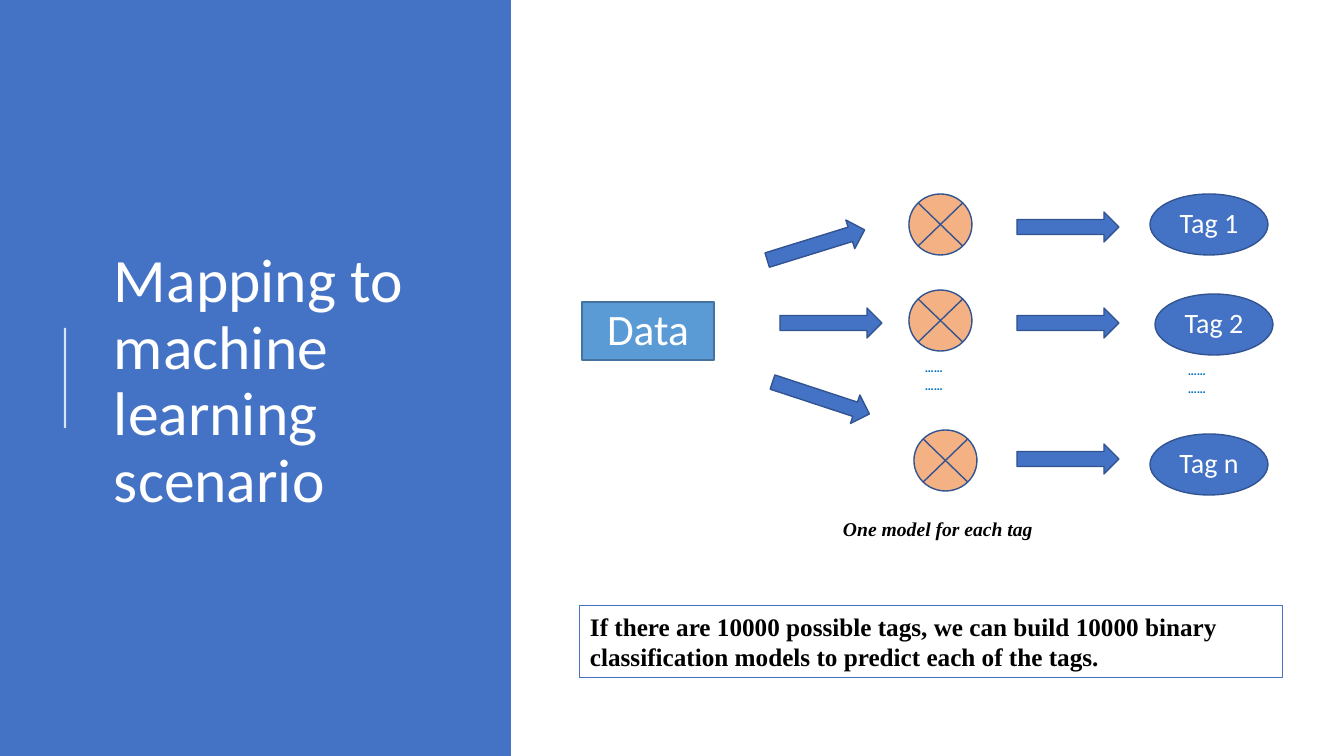
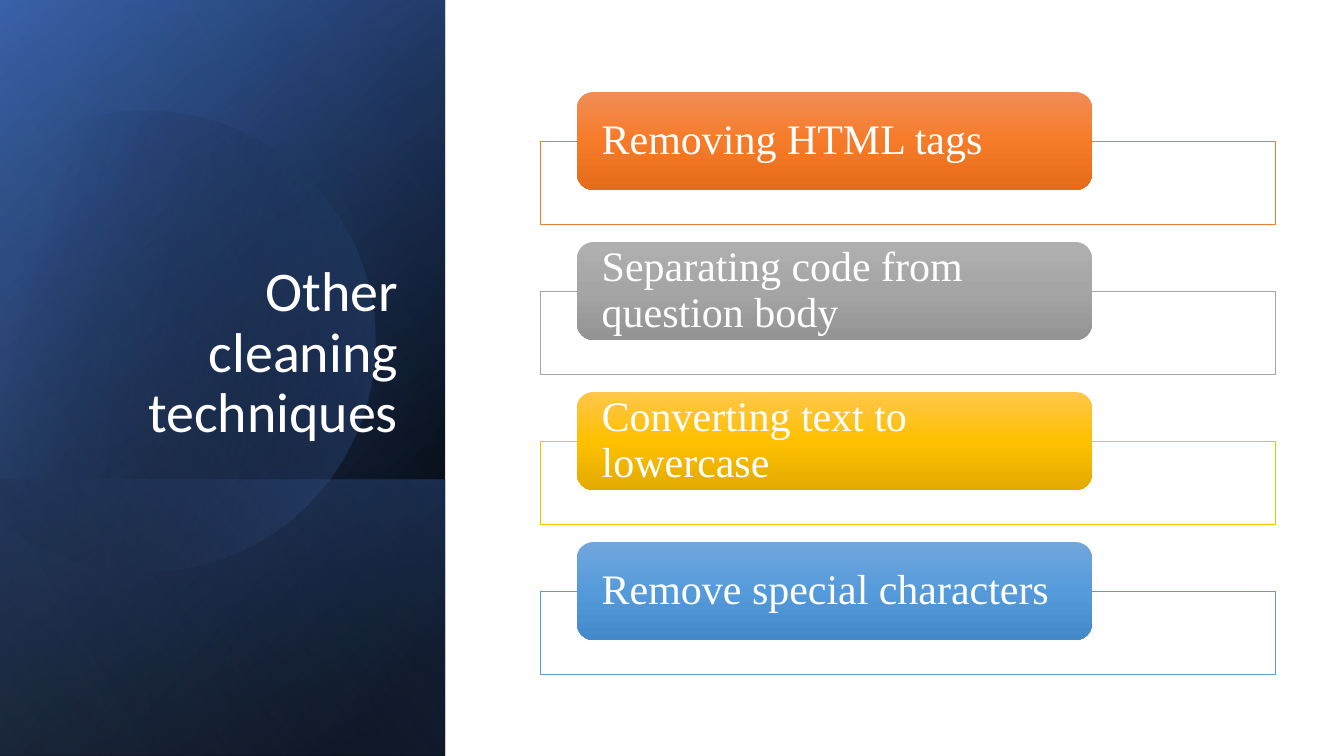
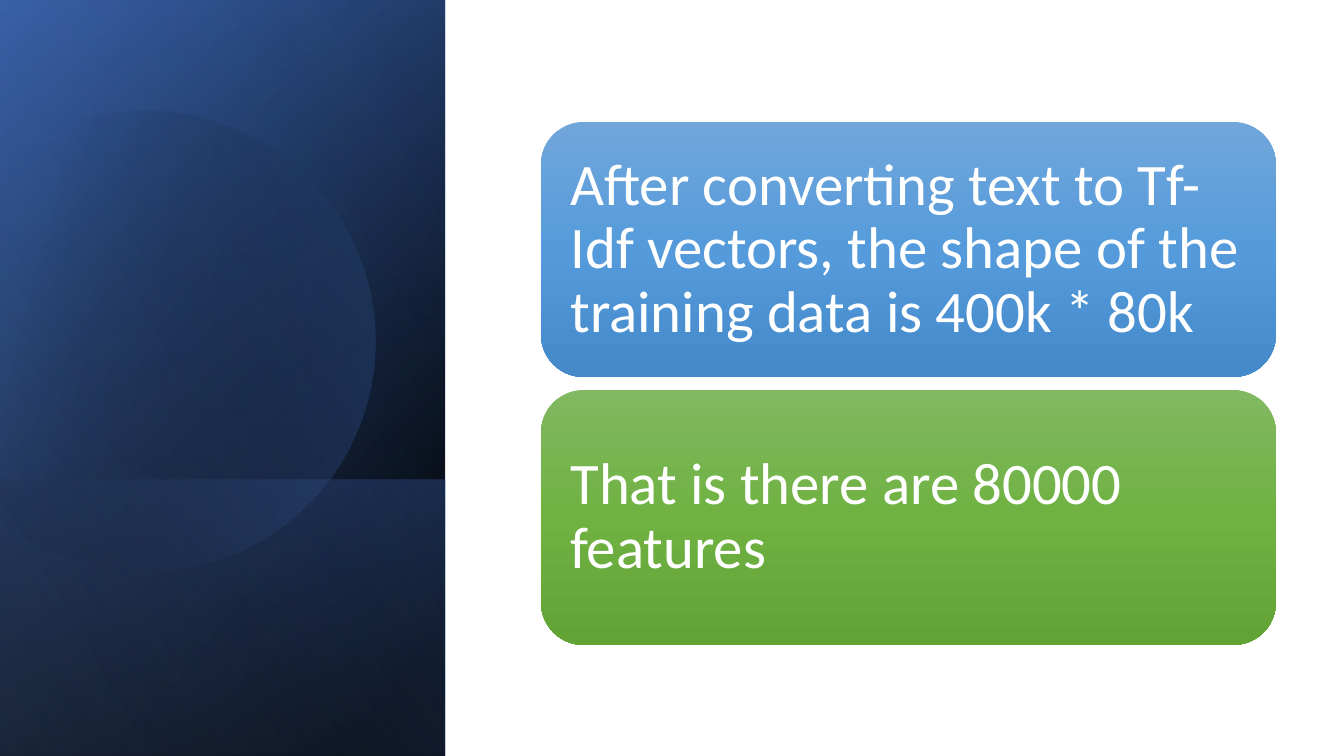
from lxml import etree
from pptx import Presentation
from pptx.dml.color import RGBColor
from pptx.enum.shapes import MSO_CONNECTOR, MSO_SHAPE as Kind
from pptx.enum.text import MSO_ANCHOR as Anchor, PP_ALIGN as Align
from pptx.oxml.ns import qn
from pptx.util import Pt

SCALE = 914400 / 100.8
WIDE, HIGH = 1344, 756
SANS, SERIF = "Calibri", "Times New Roman"
HUES = {
    "white": "FFFFFF", "black": "000000", "blue": "4472C4", "navy": "2F5597",
    "pale": "8FAADC", "edge": "325491", "sky": "5B9BD5", "rim": "43739E",
    "peach": "F4B183", "dots": "0070C0", "orange": "ED7D31",
    "grey": "A5A5A5", "gold": "FFC000",
}
SKY = [(0, "71A6DB", 100), (50, "559BDB", 100), (100, "448ACA", 100)]
GREEN = [(0, "81B861", 100), (50, "6FB242", 100), (100, "62A336", 100)]


def draw(page, kind, box, fill=None, edge=None, width=1, turn=0):
    shape = page.shapes.add_shape(kind, *[round(n * SCALE) for n in box])
    shape.shadow.inherit = False
    shape.rotation = turn
    for part, hue in ((shape.fill, fill), (shape.line.fill, edge)):
        if hue:
            part.solid()
            part.fore_color.rgb = RGBColor.from_string(HUES[hue])
        else:
            part.background()
    if edge:
        shape.line.width = Pt(width)
    return shape


def write(shape, lines, size, font=SANS, hue="white", align=Align.LEFT,
          anchor=Anchor.MIDDLE, pad=(10, 5), bold=False, slant=False,
          lead=0.9, after=0):
    frame = shape.text_frame
    frame.word_wrap = True
    frame.vertical_anchor = anchor
    frame.margin_left = frame.margin_right = round(pad[0] * SCALE)
    frame.margin_top = frame.margin_bottom = round(pad[1] * SCALE)
    for i, line in enumerate(lines):
        para = frame.add_paragraph() if i else frame.paragraphs[0]
        para.alignment = align
        para.line_spacing = lead
        para.space_after = Pt(after)
        run = para.add_run()
        run.text = line
        run.font.name = font
        run.font.size = Pt(size)
        run.font.bold = bold
        run.font.italic = slant
        run.font.color.rgb = RGBColor.from_string(HUES[hue])


deck = Presentation()
deck.slide_width = round(WIDE * SCALE)
deck.slide_height = round(HIGH * SCALE)
model, clean, size = [deck.slides.add_slide(deck.slide_layouts[6]) for _ in range(3)]
fades = []

draw(model, Kind.RECTANGLE, (0, 0, 511, HIGH), "blue")
title = model.shapes.add_textbox(*[round(n * SCALE) for n in (104, 79, 372, 607)])
write(title, ["Mapping to machine learning scenario"], 44)
rule = model.shapes.add_connector(
    MSO_CONNECTOR.STRAIGHT, *[round(n * SCALE) for n in (65, 428, 65, 328)])
rule.line.width = Pt(1.5)
rule.line.color.rgb = RGBColor.from_string(HUES["white"])
tint = rule._element.spPr.find(".//" + qn("a:srgbClr"))
etree.SubElement(tint, qn("a:alpha"), val="80000")
etree.SubElement(rule._element.spPr, qn("a:effectLst"))

data = draw(model, Kind.RECTANGLE, (582, 302, 132, 58), "sky", "rim")
write(data, ["Data"], 31, align=Align.CENTER)
for name, x, y in (("Tag 1", 1150, 194), ("Tag 2", 1155, 294), ("Tag n", 1150, 434)):
    tag = draw(model, Kind.OVAL, (x, y, 118, 61), "blue", "edge")
    write(tag, [name], 20, align=Align.CENTER, pad=(0, 0))
for x, y in ((909, 194), (909, 290), (914, 430)):
    draw(model, Kind.FLOWCHART_SUMMING_JUNCTION, (x, y, 63, 61), "peach", "edge")
for x, y, turn in ((765, 230, 342.8), (770, 383, 18.2), (780, 308, 0),
                   (1017, 212, 0), (1017, 308, 0), (1017, 444, 0)):
    draw(model, Kind.RIGHT_ARROW, (x, y, 102, 30), "blue", "edge", turn=turn)
for x, y in ((925, 362), (1188, 365)):
    dots = model.shapes.add_textbox(*[round(n * SCALE) for n in (x, y, 60, 36)])
    write(dots, ["……", "……"], 9, hue="dots", anchor=Anchor.TOP, pad=(0, 0),
          bold=True, after=2.5)
note = model.shapes.add_textbox(*[round(n * SCALE) for n in (833, 515, 270, 46)])
write(note, ["One model for each tag"], 14, SERIF, "black", anchor=Anchor.TOP,
      bold=True, slant=True)
claim = draw(model, Kind.RECTANGLE, (580, 606, 703, 72), edge="blue", width=0.75)
write(claim, ["If there are 10000 possible tags, we can build 10000 binary "
              "classification models to predict each of the tags."],
      18, SERIF, "black", anchor=Anchor.TOP, bold=True, lead=1)

BAND = 445
LAYERS = [
    (0, [(8, "black", 100), (100, "navy", 100)], 50),
    (0, [(0, "black", 0), (99, "blue", 46)], 30),
    (480, [(2, "blue", 29), (100, "black", 30)], 130),
    (None, [(29, "black", 0), (100, "blue", 43)], 30),
    (0, [(0, "black", 0), (99, "pale", 11)], 120),
]
for page in (clean, size):
    for top, stops, angle in LAYERS:
        if top is None:
            disc = page.shapes.build_freeform(36, 134, scale=SCALE)
            disc.add_line_segments([(145, 107), (375, 337), (145, 567), (-55, 452)])
            layer = disc.convert_to_shape()
            layer.shadow.inherit = False
            layer.line.fill.background()
            layer.rotation = 343.9
            sides = list(layer._element.spPr.iter(qn("a:lnTo")))
            arc = etree.Element(qn("a:arcTo"), wR="230", hR="230",
                                stAng=str(2418 * 6000), swAng=str(2683 * 6000))
            sides[0].addprevious(arc)
            for side in sides[:3]:
                side.getparent().remove(side)
        else:
            span = HIGH - top
            box = ((BAND - span) / 2, top + (span - BAND) / 2, span, BAND)
            layer = draw(page, Kind.RECTANGLE, box, turn=90)
            layer._element.spPr.find(qn("a:xfrm")).set("flipH", "1")
        fades.append((layer, stops, angle))

title = clean.shapes.add_textbox(*[round(n * SCALE) for n in (64, 186, 344, 264)])
write(title, ["Other cleaning techniques"], 40, align=Align.RIGHT, anchor=Anchor.BOTTOM)
STEPS = [
    ("Removing HTML tags", "orange",
     [(0, "F18C57", 100), (50, "F67B28", 100), (100, "E56C19", 100)]),
    ("Separating code from question body", "grey",
     [(0, "AFAFAF", 100), (50, "A5A5A5", 100), (100, "939393", 100)]),
    ("Converting text to lowercase", "gold",
     [(0, "FFC64B", 100), (50, "FFC000", 100), (100, "E3AB00", 100)]),
    ("Remove special characters", "sky", SKY),
]
for i, (text, hue, stops) in enumerate(STEPS):
    y = 92 + 150 * i
    draw(clean, Kind.RECTANGLE, (540, y + 49, 735, 83), "white", hue, 0.5)
    pill = draw(clean, Kind.ROUNDED_RECTANGLE, (577, y, 515, 98))
    write(pill, [text], 30, SERIF, pad=(20, 0))
    fades.append((pill, stops, 90))

FACTS = [
    ("After converting text to Tf-Idf vectors, the shape of the "
     "training data is 400k * 80k", SKY),
    ("That is there are 80000 features", GREEN),
]
for i, (text, stops) in enumerate(FACTS):
    card = draw(size, Kind.ROUNDED_RECTANGLE, (541, 122 + 268 * i, 735, 255))
    write(card, [text], 42, pad=(17, 17))
    fades.append((card, stops, 90))

for shape, stops, angle in fades:
    shape.fill.gradient()
    grad = shape._element.spPr.find(qn("a:gradFill"))
    grad.find(qn("a:lin")).set("ang", str(angle * 60000))
    ramp = grad.find(qn("a:gsLst"))
    for old in list(ramp):
        ramp.remove(old)
    for place, hue, alpha in stops:
        stop = etree.SubElement(ramp, qn("a:gs"), pos=str(place * 1000))
        tint = etree.SubElement(stop, qn("a:srgbClr"), val=HUES.get(hue, hue))
        etree.SubElement(tint, qn("a:alpha"), val=str(alpha * 1000))

deck.save("out.pptx")
